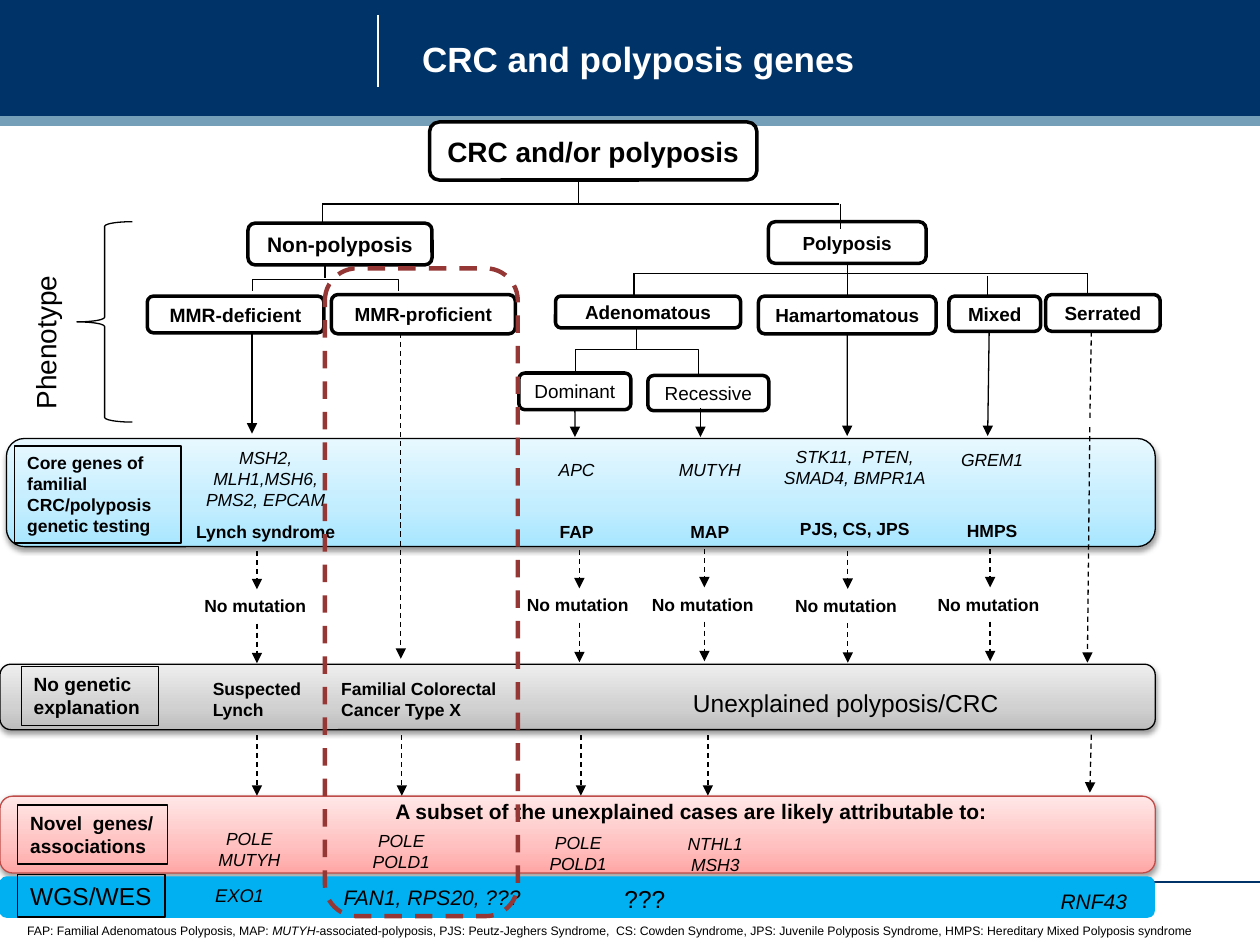
from copy import deepcopy

from pptx import Presentation
from pptx.dml.color import RGBColor
from pptx.enum.dml import MSO_LINE
from pptx.enum.shapes import MSO_CONNECTOR, MSO_SHAPE
from pptx.enum.text import MSO_ANCHOR, PP_ALIGN
from pptx.oxml import parse_xml
from pptx.oxml.ns import nsdecls, qn
from pptx.util import Cm, Pt

RECT, ROUND = MSO_SHAPE.RECTANGLE, MSO_SHAPE.ROUNDED_RECTANGLE
BRACKET, BRACE = MSO_SHAPE.RIGHT_BRACKET, MSO_SHAPE.LEFT_BRACE
STRAIGHT, DASH = MSO_CONNECTOR.STRAIGHT, MSO_LINE.DASH
LEFT, CENTER = PP_ALIGN.LEFT, PP_ALIGN.CENTER
TOP, MIDDLE = MSO_ANCHOR.TOP, MSO_ANCHOR.MIDDLE
SIDE_TOP, SIDE_BOTTOM = 0, 2

BLACK = RGBColor(0x00, 0x00, 0x00)
WHITE = RGBColor(0xFF, 0xFF, 0xFF)
NAVY = RGBColor(0x00, 0x33, 0x68)
STEEL = RGBColor(0x75, 0x9F, 0xB8)
SKY = RGBColor(0x00, 0xB0, 0xF0)
RED = RGBColor(0xBF, 0x4C, 0x48)
DARK_RED = RGBColor(0x95, 0x37, 0x35)
BLUES = [RGBColor(0xA7, 0xE6, 0xFF), RGBColor(0xC1, 0xED, 0xFF), RGBColor(0xE7, 0xF8, 0xFF)]
GREYS = [RGBColor(0xBD, 0xBD, 0xBD), RGBColor(0xD1, 0xD1, 0xD1), RGBColor(0xEE, 0xEE, 0xEE)]
PINKS = [RGBColor(0xFF, 0xA6, 0xA5), RGBColor(0xFF, 0xC0, 0xBF), RGBColor(0xFF, 0xE7, 0xE7)]


def add_run(p, text, size, bold=False, italic=False, color=BLACK):
    r = p.add_run()
    r.text = text
    r.font.name = "Arial"
    r.font.size = Pt(size)
    r.font.bold = bold
    r.font.italic = italic
    r.font.color.rgb = color


def fill_text(s, lines, size, align=LEFT, anchor=TOP, wrap=True, **style):
    tf = s.text_frame
    tf.word_wrap = wrap
    tf.vertical_anchor = anchor
    for i, line in enumerate(lines):
        p = tf.add_paragraph() if i else tf.paragraphs[0]
        p.alignment = align
        add_run(p, line, size, **style)


def add_text(sp, box, lines, size, **style):
    s = sp.add_textbox(*map(Cm, box))
    fill_text(s, lines, size, **style)
    return s


def add_outline(sp, kind, box, fill=None, line=BLACK, width=0.75):
    s = sp.add_shape(kind, *map(Cm, box))
    s.shadow.inherit = False
    if fill is None:
        s.fill.background()
    else:
        s.fill.solid()
        s.fill.fore_color.rgb = fill
    if line is None:
        s.line.fill.background()
    else:
        s.line.color.rgb = line
        s.line.width = Pt(width)
    return s


def add_node(sp, box, text, size=10.8, bold=True, fill=WHITE):
    s = add_outline(sp, ROUND, box, fill, width=2)
    fill_text(s, [text], size, align=CENTER, anchor=MIDDLE, wrap=False, bold=bold)
    return s


def add_label(sp, box, lines, size, bold=True):
    fill_text(add_outline(sp, RECT, box), lines, size, bold=bold)


def add_bracket(sp, box, width):
    s = add_outline(sp, BRACKET, box, width=width)
    s.adjustments[0] = 0
    s.rotation = 270


def add_panel(sp, box, colors, line=BLACK):
    s = add_outline(sp, ROUND, box, line=line)
    s.fill.gradient()
    s.fill.gradient_angle = 90
    gs = s._element.spPr.find(".//" + qn("a:gs"))
    gs.addnext(deepcopy(gs))
    for stop, color, position in zip(s.fill.gradient_stops, colors, (0, 0.35, 1)):
        stop.color.rgb = color
        stop.position = position
    s._element.spPr.find(qn("a:effectLst")).append(parse_xml(
        f'<a:outerShdw {nsdecls("a")} blurRad="40000" dist="20000" dir="5400000" rotWithShape="0">'
        '<a:srgbClr val="000000"><a:alpha val="38000"/></a:srgbClr></a:outerShdw>'))


def add_line(sp, x1, y1, x2, y2, color=BLACK, head=False, dashed=False):
    s = sp.add_connector(STRAIGHT, Cm(x1), Cm(y1), Cm(x2), Cm(y2))
    s.line.color.rgb = color
    s.line.width = Pt(0.75)
    if dashed:
        s.line.dash_style = DASH
    if head:
        s.line._get_or_add_ln().append(parse_xml(f'<a:tailEnd {nsdecls("a")} type="triangle"/>'))
    s._element.spPr.append(parse_xml(f'<a:effectLst {nsdecls("a")}/>'))
    return s


def add_genes(sp, box, genes, syndrome, gap=0, spacing=1.0):
    s = add_text(sp, box, genes, 10, align=CENTER, italic=True)
    for p in s.text_frame.paragraphs:
        p.line_spacing = spacing
    p = s.text_frame.add_paragraph()
    p.alignment = CENTER
    p.line_spacing = 1.5
    p.space_before = Pt(gap)
    add_run(p, syndrome, 10, bold=True)


def add_header(sp):
    add_outline(sp, RECT, (0, 0, 25.4, 2.34), NAVY, None)
    add_line(sp, 7.62, 0.3, 7.62, 1.75, WHITE)
    add_line(sp, 0, 17.78, 25.4, 17.78, NAVY)
    add_outline(sp, RECT, (0, 2.34, 25.4, 0.2), STEEL, None)
    add_text(sp, (8.26, 0.64, 16.08, 1.35), ["CRC and polyposis genes"], 20, bold=True, color=WHITE)


def add_tree(sp):
    for ends in [(6.5, 4.11, 16.92, 4.11), (6.5, 4.11, 6.5, 4.62), (16.94, 4.11, 16.94, 4.62),
                 (11.66, 3.61, 11.66, 4.11), (12.83, 6.63, 12.83, 7.06), (6.55, 5.36, 6.55, 5.61),
                 (12.78, 5.51, 21.92, 5.51), (12.78, 5.51, 12.78, 5.94),
                 (19.91, 5.56, 19.91, 5.97), (21.92, 5.51, 21.92, 5.92)]:
        add_line(sp, *ends)
    add_bracket(sp, (6.45, 4.27, 0.23, 2.95), 0.75)
    add_bracket(sp, (12.52, 6.12, 0.64, 2.49), 0.5)
    add_node(sp, (8.66, 2.46, 6.6, 1.17), "CRC and/or polyposis", 16)
    add_node(sp, (5, 4.5, 3.71, 0.84), "Non-polyposis", 12)
    polyposis = add_node(sp, (15.49, 4.47, 3.18, 0.84), "Polyposis", fill=None)
    add_node(sp, (2.97, 5.97, 3.56, 0.74), "MMR-deficient", 11, fill=None)
    add_node(sp, (6.68, 5.94, 3.71, 0.79), "MMR-proficient", fill=None)
    add_node(sp, (11.2, 5.97, 3.73, 0.64), "Adenomatous")
    dominant = add_node(sp, (10.46, 7.52, 2.26, 0.74), "Dominant", bold=False)
    add_node(sp, (13.06, 7.57, 2.44, 0.71), "Recessive", bold=False)
    hamartomatous = add_node(sp, (15.29, 5.97, 3.58, 0.76), "Hamartomatous")
    add_node(sp, (19.13, 5.97, 1.85, 0.71), "Mixed")
    add_node(sp, (21.08, 5.94, 2.31, 0.74), "Serrated")
    s = add_line(sp, 17.08, 5.31, 17.08, 5.97)
    s.begin_connect(polyposis, SIDE_BOTTOM)
    s.end_connect(hamartomatous, SIDE_TOP)
    add_outline(sp, BRACE, (1.55, 4.47, 1.12, 4.04))
    add_text(sp, (-0.86, 6.25, 3.56, 0.94), ["Phenotype"], 16).rotation = 270
    return dominant, hamartomatous


def add_core_genes(sp, dominant, hamartomatous):
    add_panel(sp, (0.13, 8.84, 23.16, 2.18), BLUES)
    add_label(sp, (0.3, 8.99, 3.35, 1.96), ["Core genes of familial CRC/polyposis genetic testing"], 10)
    for ends in [(5.08, 6.71, 5.08, 8.74), (14.12, 8.23, 14.12, 8.81), (19.94, 6.71, 19.91, 8.79)]:
        add_line(sp, *ends, head=True)
    for node, x, y1, y2 in [(dominant, 11.59, 8.26, 8.81), (hamartomatous, 17.08, 6.73, 8.79)]:
        add_line(sp, x, y1, x, y2, head=True).begin_connect(node, SIDE_BOTTOM)
    add_genes(sp, (3.68, 8.89, 3.35, 2.18), ["MSH2, MLH1,MSH6,", "PMS2, EPCAM"], "Lynch syndrome")
    add_genes(sp, (9.07, 8.92, 5.11, 2.18), ["APC"], "FAP", 17.25, 1.5)
    add_genes(sp, (13.41, 8.92, 1.8, 2.18), ["MUTYH"], "MAP", 17.25, 1.5)
    add_genes(sp, (15.21, 8.86, 4.04, 2.18), ["STK11,  PTEN,", "SMAD4, BMPR1A"], "PJS, CS, JPS", 11.5)
    add_genes(sp, (18.77, 8.92, 2.46, 2.18), ["GREM1"], "HMPS", 23)


def add_unexplained(sp):
    add_panel(sp, (0, 13.39, 23.29, 1.32), GREYS)
    add_label(sp, (0.43, 13.44, 2.77, 1.19), ["No genetic explanation"], 10.9)
    add_text(sp, (4.04, 13.54, 3.35, 1.12), ["Suspected Lynch"], 10, bold=True)
    add_text(sp, (6.63, 13.54, 4.57, 1.12), ["Familial Colorectal Cancer Type X"], 10, bold=True)
    add_text(sp, (13.72, 13.74, 8.26, 0.86), ["Unexplained polyposis/CRC"], 14)
    for x, dy in [(5.18, 0.04), (11.68, 0.02), (14.2, 0), (17.09, 0.03), (19.96, 0)]:
        add_line(sp, x, 11.07 + dy, x, 11.84 + dy, head=True, dashed=True)
        add_text(sp, (x - 1.31, 11.84 + dy, 2.62, 0.69), ["No mutation"], 10, bold=True)
        add_line(sp, x, 12.53 + dy, x, 13.33 + dy, head=True, dashed=True)
    add_line(sp, 8.08, 6.71, 8.08, 11.84, dashed=True)
    add_line(sp, 8.08, 11.81, 8.08, 13.28, head=True, dashed=True)
    add_line(sp, 22, 6.68, 21.97, 8.48, dashed=True)
    add_line(sp, 21.97, 8.61, 21.92, 13.36, head=True, dashed=True)


def add_novel_genes(sp):
    add_panel(sp, (0, 16.05, 23.29, 1.55), PINKS, RED)
    add_label(sp, (0.36, 16.23, 3.02, 1.19), ["Novel  genes/", "associations"], 10.9)
    for x, y, w, genes in [(3.96, 16.56, 2.13, ["POLE", "MUTYH"]), (6.86, 16.61, 2.46, ["POLE", "POLD1"]),
                           (10.59, 16.64, 2.13, ["POLE", "POLD1"]), (13.39, 16.66, 2.06, ["NTHL1", "MSH3"])]:
        add_text(sp, (x, y, w, 1.12), genes, 10, align=CENTER, italic=True)
    add_text(sp, (7.72, 15.98, 12.95, 0.76),
             ["A subset of the unexplained cases are likely attributable to:"], 12, bold=True)
    for x in (5.18, 8.1, 11.71, 14.27):
        add_line(sp, x, 14.82, x, 16.04, head=True, dashed=True)
    add_line(sp, 22, 14.81, 21.97, 15.98, head=True, dashed=True)


def add_sequencing(sp):
    add_outline(sp, ROUND, (0, 17.68, 23.27, 0.81), SKY, SKY)
    add_label(sp, (0.36, 17.63, 2.97, 0.86), ["WGS/WES"], 14, bold=False)
    for box, text, size, italic in [((6.68, 17.7, 4.11, 0.76), "FAN1, RPS20, ???", 12, True),
                                    ((21.13, 17.78, 1.85, 0.76), "RNF43", 12, True),
                                    ((4.09, 17.7, 1.5, 0.71), "EXO1", 10.5, True),
                                    ((12.34, 17.7, 1.35, 0.86), "???", 14, False)]:
        add_text(sp, box, [text], size, wrap=False, italic=italic)


def add_footnote(sp):
    s = add_text(sp, (0.3, 18.49, 24.46, 0.56), ["FAP: Familial Adenomatous Polyposis, MAP: "], 7)
    p = s.text_frame.paragraphs[0]
    add_run(p, "MUTYH-", 7, italic=True)
    add_run(p, "associated-polyposis, PJS: Peutz-Jeghers Syndrome,  CS: Cowden Syndrome, "
               "JPS: Juvenile Polyposis Syndrome, HMPS: Hereditary Mixed Polyposis syndrome", 7)


def main():
    prs = Presentation()
    prs.slide_width, prs.slide_height = Cm(25.4), Cm(19.05)
    sp = prs.slides.add_slide(prs.slide_layouts[6]).shapes
    add_header(sp)
    dominant, hamartomatous = add_tree(sp)
    add_core_genes(sp, dominant, hamartomatous)
    add_footnote(sp)
    add_unexplained(sp)
    add_novel_genes(sp)
    add_sequencing(sp)
    add_outline(sp, ROUND, (6.55, 5.41, 3.89, 13.06), line=DARK_RED, width=2.5).line.dash_style = DASH
    prs.save("out.pptx")


if __name__ == "__main__":
    main()
